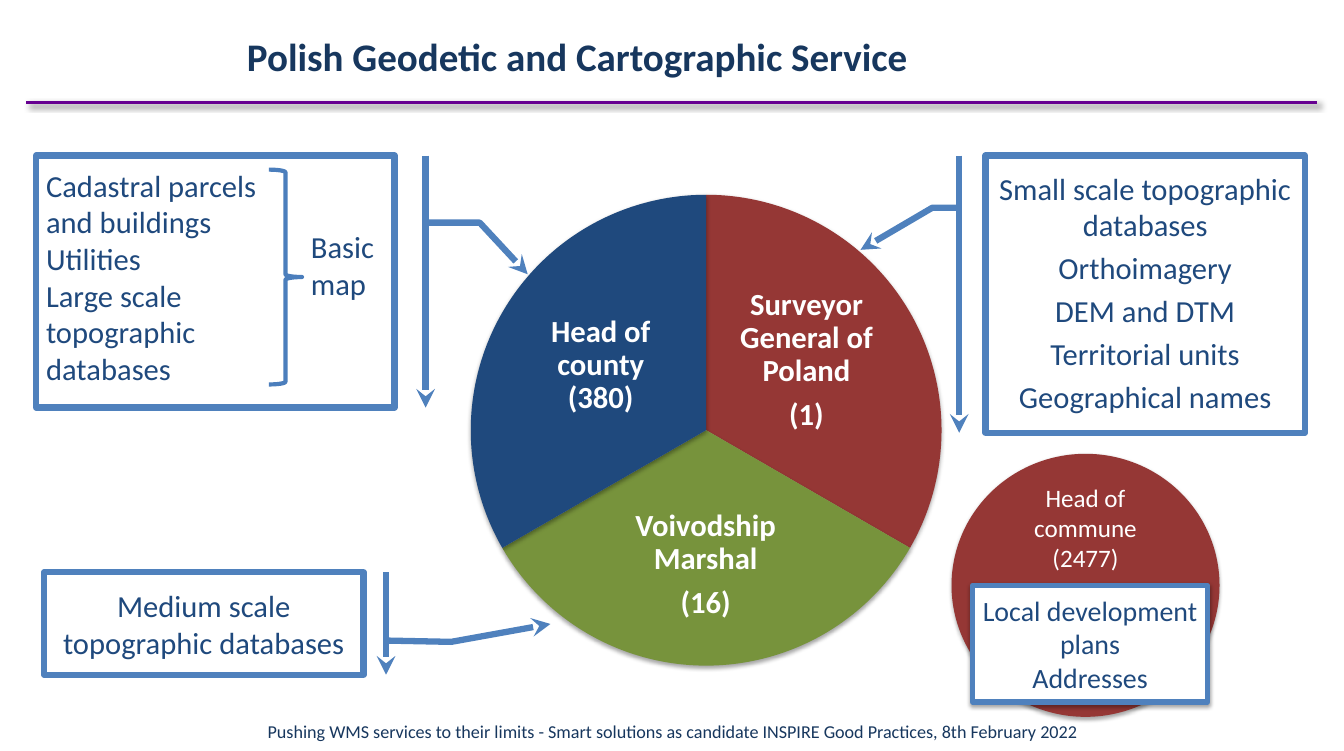
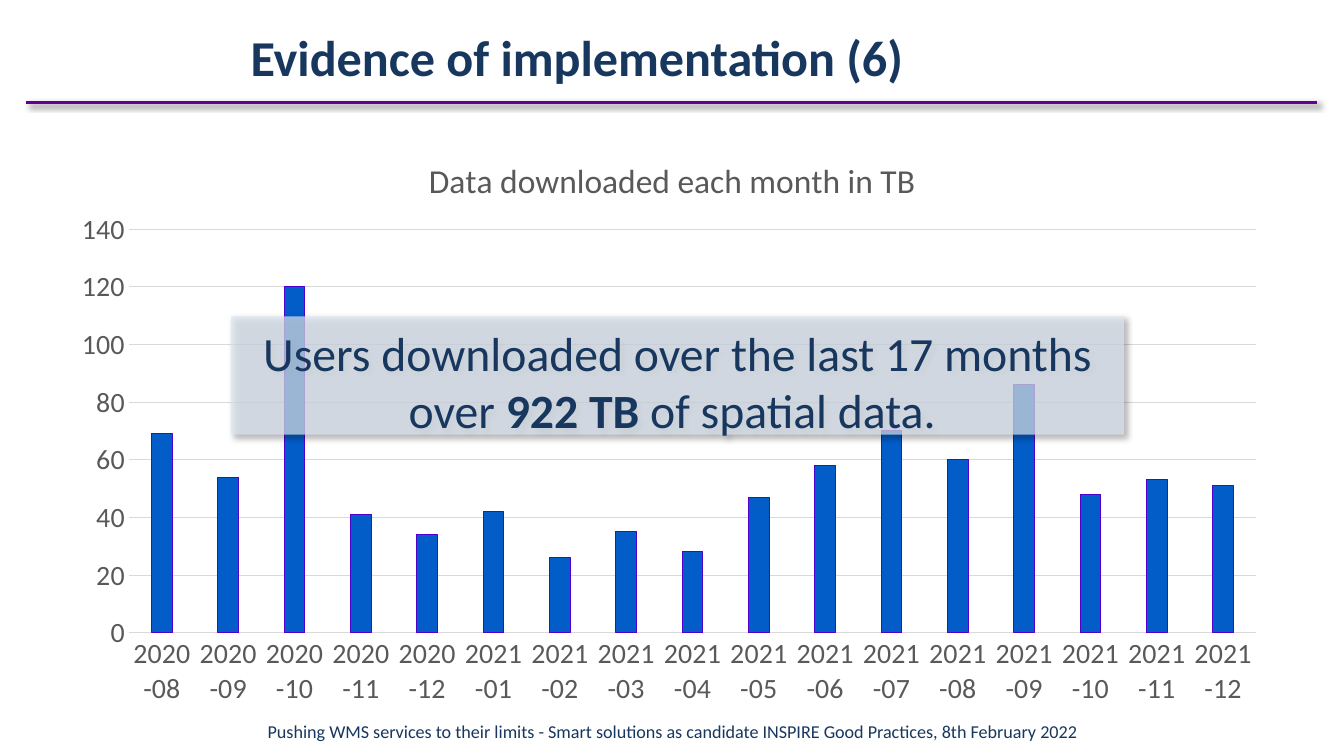
from lxml import etree
from pptx import Presentation
from pptx.chart.data import CategoryChartData
from pptx.dml.color import RGBColor
from pptx.enum.chart import XL_CHART_TYPE, XL_TICK_MARK
from pptx.enum.shapes import MSO_CONNECTOR, MSO_SHAPE
from pptx.enum.text import MSO_ANCHOR, MSO_AUTO_SIZE, PP_ALIGN
from pptx.oxml.ns import qn
from pptx.util import Inches, Pt

COLUMN = XL_CHART_TYPE.COLUMN_CLUSTERED
NO_TICK = XL_TICK_MARK.NONE
STRAIGHT = MSO_CONNECTOR.STRAIGHT
PIE, OVAL, RECT = MSO_SHAPE.PIE, MSO_SHAPE.OVAL, MSO_SHAPE.RECTANGLE
BRACE = MSO_SHAPE.RIGHT_BRACE
CALLOUT = MSO_SHAPE.LINE_CALLOUT_2_BORDER_AND_ACCENT_BAR
TOP, MIDDLE = MSO_ANCHOR.TOP, MSO_ANCHOR.MIDDLE
LEFT, CENTER = PP_ALIGN.LEFT, PP_ALIGN.CENTER

NAVY = RGBColor(0x17, 0x37, 0x5E)
BLUE = RGBColor(0x1F, 0x49, 0x7D)
EDGE = RGBColor(0x4F, 0x81, 0xBD)
CURVE = RGBColor(0x4B, 0x7E, 0xBC)
RED = RGBColor(0x95, 0x37, 0x35)
GREEN = RGBColor(0x77, 0x93, 0x3C)
PURPLE = RGBColor(0x66, 0x00, 0x90)
PALE = RGBColor(0xDC, 0xE6, 0xF2)
WHITE = RGBColor(0xFF, 0xFF, 0xFF)
GRAY = RGBColor(0x59, 0x59, 0x59)
RULE = RGBColor(0xD9, 0xD9, 0xD9)
BAR = RGBColor(0x03, 0x5D, 0xC9)
TRIM = RGBColor(0x4E, 0x00, 0xCC)

FONT = "Calibri"
WIDTH, HEIGHT = Inches(13.39), Inches(7.48)
PAD = (0.13, 0.07, 0.13, 0.07)
SLIM = (0.03, 0.03, 0.03, 0.03)
# Shadows: opacity in percent, blur and distance in points, angle
SOFT = (35, 3.1, 1.8, 90)
SIDE = (40, 4, 3, 45)
FOOTER = ("Pushing WMS services to their limits - Smart solutions as "
          "candidate INSPIRE Good Practices, 8th February 2022")


def style(font, size, color, bold=False):
    font.name, font.size, font.bold = FONT, Pt(size), bold
    font.color.rgb = color


def write(shape, text, size=21.9, color=BLUE, bold=False, align=CENTER,
          anchor=MIDDLE, pad=(0.1, 0.05, 0.1, 0.05), gap=0, lead=None,
          plain=False):
    """Each paragraph is a string or a list of (text, bold) runs."""
    frame = shape.text_frame
    frame.word_wrap, frame.auto_size = True, MSO_AUTO_SIZE.NONE
    frame.vertical_anchor = anchor
    (frame.margin_left, frame.margin_top,
     frame.margin_right, frame.margin_bottom) = map(Inches, pad)
    for pos, part in enumerate([text] if isinstance(text, str) else text):
        para = frame.add_paragraph() if pos else frame.paragraphs[0]
        if plain:
            props = para._p.get_or_add_pPr()
            props.set("marL", "0")
            props.set("indent", "0")
            etree.SubElement(props, qn("a:buNone"))
        para.alignment, para.line_spacing = align, lead
        para.space_before = Pt(gap if pos else 0)
        for words, heavy in [(part, bold)] if isinstance(part, str) else part:
            run = para.add_run()
            run.text = words
            style(run.font, size, color, heavy)


def place(node, **shares):
    """Fix a chart part at shares of the chart's size."""
    old = node.find(qn("c:layout"))
    if old is not None:
        node.remove(old)
    layout = etree.Element(qn("c:layout"))
    manual = etree.SubElement(layout, qn("c:manualLayout"))
    if "w" in shares:
        etree.SubElement(manual, qn("c:layoutTarget"), val="inner")
    for key in ("xMode", "yMode"):
        etree.SubElement(manual, qn("c:" + key), val="edge")
    for key, share in shares.items():
        etree.SubElement(manual, qn("c:" + key), val=str(share))
    node.insert(0 if "w" in shares else 1, layout)


class Deck:
    """Holds the style and the current slide; boxes are percent shares."""

    def __init__(self):
        self.prs = Presentation()
        self.prs.slide_width, self.prs.slide_height = WIDTH, HEIGHT

    def area(self, box):
        return [int(share * side / 100)
                for share, side in zip(box, (WIDTH, HEIGHT) * 2)]

    def move(self, shape, box):
        shape.left, shape.top, shape.width, shape.height = self.area(box)

    def shade(self, shape, shadow=None):
        props = shape._element.find(qn("p:spPr"))
        effects = etree.SubElement(props, qn("a:effectLst"))
        if shadow:
            alpha, blur, dist, angle = shadow
            outer = etree.SubElement(
                effects, qn("a:outerShdw"), blurRad=str(Pt(blur)),
                dist=str(Pt(dist)), dir=str(angle * 60000),
                algn="ctr", rotWithShape="0")
            black = etree.SubElement(outer, qn("a:srgbClr"), val="000000")
            etree.SubElement(black, qn("a:alpha"), val=str(alpha * 1000))

    def start(self, title, size, layout):
        self.slide = self.prs.slides.add_slide(self.prs.slide_layouts[layout])
        self.shapes = self.slide.shapes
        # Rule below the title
        x1, y1, x2, y2 = self.area((1.94, 13.64, 97.98, 13.64))
        rule = self.shapes.add_connector(STRAIGHT, x1, y1, x2, y2)
        rule.line.color.rgb, rule.line.width = PURPLE, Pt(2.5)
        self.shade(rule, SIDE)
        # Title and footer
        head = self.shapes.title
        self.move(head, (16.95, 1.74, 51.98, 11.5))
        write(head, title, size=size, color=NAVY, bold=True, pad=PAD)
        self.text((0, 94.65, 100, 5.35), FOOTER, size=13, color=NAVY, pad=PAD)

    def text(self, box, text, **form):
        write(self.shapes.add_textbox(*self.area(box)), text, **form)

    def shape(self, kind, box, fill=None, edge=None, width=4.5, adj=(),
              shadow=None):
        item = self.shapes.add_shape(kind, *self.area(box))
        for pos, share in enumerate(adj):
            item.adjustments[pos] = share
        if fill is None:
            item.fill.background()
        else:
            item.fill.solid()
            item.fill.fore_color.rgb = fill
        if edge is None:
            item.line.fill.background()
        else:
            item.line.color.rgb, item.line.width = edge, Pt(width)
        self.shade(item, shadow)
        return item

    def callout(self, box, adj, text, **form):
        item = self.shape(CALLOUT, box, WHITE, EDGE, adj=adj)
        line = item._element.find(qn("p:spPr")).find(qn("a:ln"))
        etree.SubElement(line, qn("a:tailEnd"), type="stealth")
        write(item, text, **form)

    def banner(self, box, text, **form):
        body = self.slide.placeholders[1]
        self.move(body, box)
        body.fill.solid()
        body.fill.fore_color.rgb = PALE
        tint = body._element.find(".//" + qn("a:srgbClr"))
        etree.SubElement(tint, qn("a:alpha"), val="70000")
        self.shade(body, SIDE)
        write(body, text, plain=True, **form)
        body._element.getparent().append(body._element)  # bring to front

    def chart(self, box, title, cats, vals):
        data = CategoryChartData()
        data.categories = cats
        data.add_series("Series 1", vals)
        chart = self.shapes.add_chart(COLUMN, *self.area(box), data).chart
        style(chart.font, 20, GRAY)
        chart.has_legend = False
        chart.has_title = True
        para = chart.chart_title.text_frame.paragraphs[0]
        run = para.add_run()
        run.text = title
        style(run.font, 24, GRAY)
        # Bars
        plot = chart.plots[0]
        plot.gap_width, plot.overlap = 219, -27
        plot.vary_by_categories = False
        bars = plot.series[0].format
        bars.fill.solid()
        bars.fill.fore_color.rgb = BAR
        bars.line.color.rgb, bars.line.width = TRIM, Pt(0.75)
        # Axes
        cat, val = chart.category_axis, chart.value_axis
        for axis in (cat, val):
            axis.major_tick_mark = axis.minor_tick_mark = NO_TICK
            style(axis.tick_labels.font, 20, GRAY)
        val.minimum_scale, val.maximum_scale, val.major_unit = 0, 140, 20
        val.format.line.fill.background()
        for line in (cat.format.line, val.major_gridlines.format.line):
            line.color.rgb, line.width = RULE, Pt(0.75)
        place(chart.element.find(".//" + qn("c:title")), x=0.3, y=0.05)
        place(chart.element.find(".//" + qn("c:plotArea")),
              x=0.06, y=0.18, w=0.92, h=0.68)


def service(deck):
    deck.start("Polish Geodetic and Cartographic Service", 28, 5)
    # Pie of three authorities: start and end angle, fill, label
    thirds = [
        (162, 18, RED, (54.07, 37.57, 11.87, 20.86),
         ["Surveyor General of Poland", "(1)"]),
        (18, 90, GREEN, (44.59, 65.51, 15.83, 19.39),
         ["Voivodship Marshal", "(16)"]),
        (90, 162, BLUE, (38.76, 38.24, 11.87, 20.86),
         ["Head of county (380)"]),
    ]
    for begin, end, fill, box, label in thirds:
        deck.shape(PIE, (35.03, 25.94, 35.03, 62.7), fill,
                   adj=(begin, end), shadow=SOFT)
        deck.text(box, label, size=22, color=WHITE, bold=True, pad=SLIM,
                  gap=7.5, lead=0.9)
    # Data kept by each authority
    deck.callout((3.29, 76.2, 23.75, 13.64),
                 (0.667, 1.071, 0.68, 1.275, 0.505, 1.586),
                 "Medium scale topographic databases")
    deck.callout((2.69, 20.72, 26.66, 33.56),
                 (0.266, 1.087, 0.266, 1.238, 0.471, 1.372),
                 ["Cadastral parcels", "and buildings", "Utilities",
                  "Large scale", "topographic", "databases"],
                 align=LEFT, anchor=TOP, pad=(0.1, 0.11, 0.1, 0.05))
    deck.callout((73.34, 20.72, 23.75, 36.9),
                 (0.188, -0.083, 0.188, -0.167, 0.34, -0.392),
                 ["Small scale topographic databases", "Orthoimagery",
                  "DEM and DTM", "Territorial units", "Geographical names"],
                 anchor=TOP, pad=(0.1, 0.14, 0.1, 0.05), gap=4.5)
    deck.shape(BRACE, (20.01, 22.59, 2.46, 28.61), edge=CURVE, width=3,
               adj=(0.083, 0.5))
    deck.text((22.4, 29.68, 6.87, 11.23), ["Basic", "map"],
              align=LEFT, anchor=TOP)
    # Communes
    disc = deck.shape(OVAL, (70.8, 60.43, 19.94, 35.03), RED, shadow=SOFT)
    write(disc, ["Head of commune", "(2477)"], size=18, color=WHITE,
          pad=(0.1, 0.05, 0.1, 1.2))
    plans = deck.shape(RECT, (72.37, 77.94, 17.48, 15.51), WHITE, EDGE, 4,
                       shadow=SOFT)
    write(plans, ["Local development plans", "Addresses"], size=20)


def evidence(deck):
    deck.start("Evidence of implementation (6)", 36, 1)
    months = [f"{2020 + m // 12}-{m % 12 + 1:02}" for m in range(7, 24)]
    deck.chart((4.11, 16.31, 91.19, 79.01),
               "Data downloaded each month in TB", months,
               (69, 54, 120, 41, 34, 42, 26, 35, 28, 47, 58, 70, 60, 86,
                48, 53, 51))
    deck.banner((17.18, 42.11, 66.47, 15.78),
                [[("Users downloaded over the last 17 months over ", False),
                  ("922 TB ", True), ("of spatial data. ", False)]],
                size=34.2, color=NAVY, anchor=TOP, pad=PAD)


def main():
    deck = Deck()
    service(deck)
    evidence(deck)
    deck.prs.save("out.pptx")


if __name__ == "__main__":
    main()
